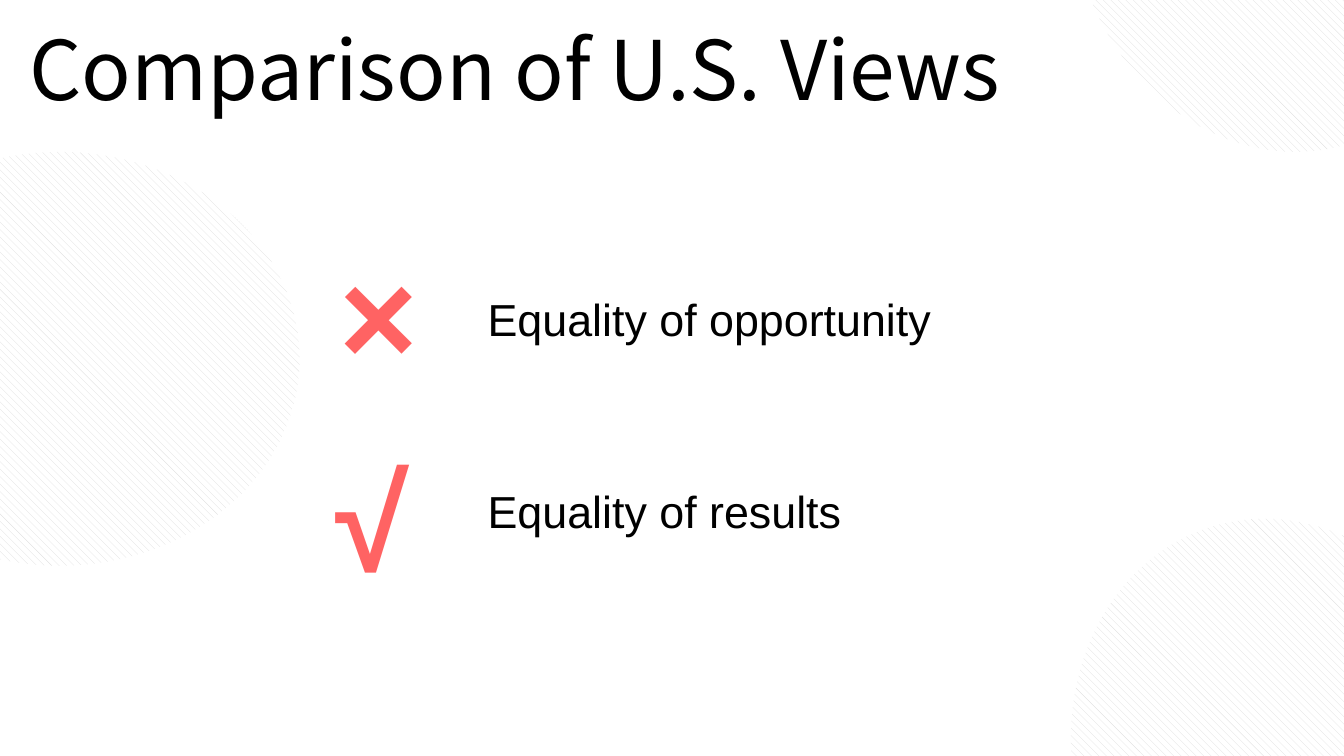
from pptx import Presentation
from pptx.dml.color import RGBColor
from pptx.enum.dml import MSO_PATTERN
from pptx.enum.shapes import MSO_SHAPE
from pptx.enum.text import MSO_AUTO_SIZE, PP_ALIGN
from pptx.util import Inches, Pt


def color(value):
    return RGBColor.from_string(value)


def add_text(slide, box, text, size, font, text_color="000000", bold=False,
             align=PP_ALIGN.LEFT, wrap=True):
    shape = slide.shapes.add_textbox(*map(Inches, box))
    frame = shape.text_frame
    frame.word_wrap = wrap
    frame.auto_size = MSO_AUTO_SIZE.NONE
    paragraph = frame.paragraphs[0]
    paragraph.text = text
    paragraph.alignment = align
    paragraph.font.name = font
    paragraph.font.size = Pt(size)
    paragraph.font.bold = bold
    paragraph.font.color.rgb = color(text_color)
    return shape


def add_hatched_ellipse(slide, left, top, rotation=0):
    shape = slide.shapes.add_shape(MSO_SHAPE.OVAL, Inches(left), Inches(top),
                                   Inches(3.57), Inches(3.08))
    shape.rotation = rotation
    shape.shadow.inherit = False
    shape.fill.patterned()
    shape.fill.pattern = MSO_PATTERN.WIDE_DOWNWARD_DIAGONAL
    shape.fill.fore_color.rgb = color("DDDDDD")
    shape.fill.back_color.rgb = color("FFFFFF")
    shape.line.fill.background()


def add_view(slide, left, top, mark, mark_box, label):
    """Place a large mark and its label; mark_box is relative to the row."""
    x, y, width, height = mark_box
    mark_shape = add_text(slide, (left + x, top + y, width, height), mark, 72, "Arial",
                          "FF6363", True, PP_ALIGN.CENTER, wrap=False)
    add_text(slide, (left + 1.19, top, 3.97, 0.5), label, 24, "Arial")
    return mark_shape


def build_slide(presentation):
    slide = presentation.slides.add_slide(presentation.slide_layouts[6])

    # Background ellipses and title
    add_hatched_ellipse(slide, -1.34, 1.13)
    add_text(slide, (0.12, 0.09, 8.14, 0.84), "Comparison of U.S. Views", 44,
             "Noto Sans CJK SC")
    for top in (-2.18, 4.09):
        add_hatched_ellipse(slide, 7.74, top, rotation=75)

    # Rejected and accepted views
    cross = add_view(slide, 2.34, 2.12, "×", (0, -0.45, 0.96, 1.31),
                     "Equality of opportunity")
    cross.fill.solid()
    cross.fill.fore_color.rgb = color("FFFFFF")
    add_view(slide, 2.34, 3.55, "√", (0, -0.35, 0.86, 1.33), "Equality of results")


def main():
    presentation = Presentation()
    # Widescreen, 16:9
    presentation.slide_width = Inches(10)
    presentation.slide_height = presentation.slide_width * 9 // 16
    build_slide(presentation)
    presentation.save("out.pptx")


if __name__ == "__main__":
    main()
